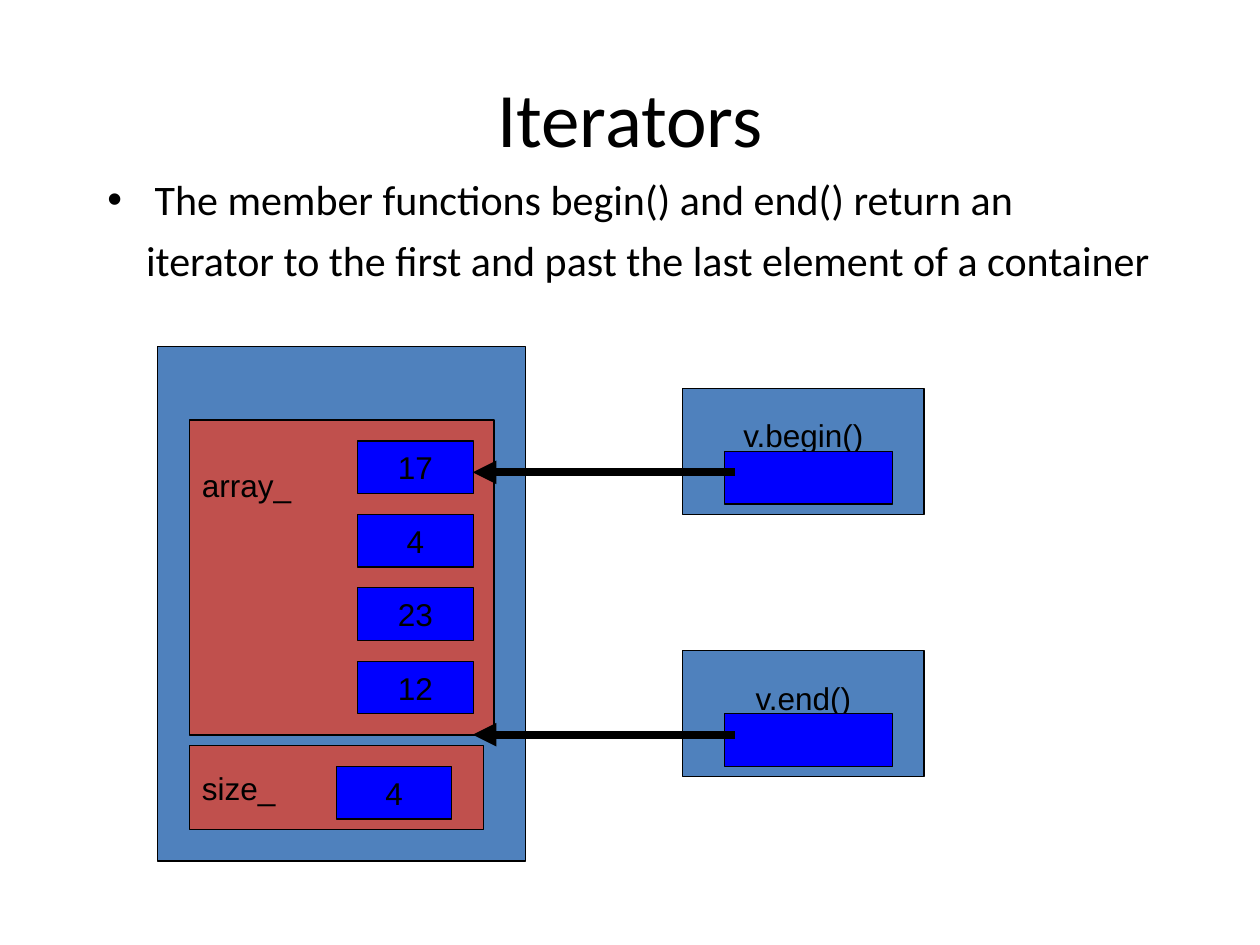
from lxml.etree import SubElement
from pptx import Presentation
from pptx.dml.color import RGBColor
from pptx.enum.shapes import MSO_CONNECTOR, MSO_SHAPE
from pptx.enum.text import MSO_ANCHOR, MSO_AUTO_SIZE, PP_ALIGN
from pptx.oxml.ns import qn
from pptx.util import Cm, Pt

COLORS = {
    "ink": "000000",
    "object": "4F81BD",
    "member": "C0504D",
    "value": "0000FF",
}
CELL_WIDTH, CELL_HEIGHT, CELL_PITCH = 2.33, 1.06, 1.48
ARROW_TIP = 9.53


def color(name):
    return RGBColor.from_string(COLORS[name])


def add_text(paragraph, text, font_name, size, alignment):
    paragraph.alignment = alignment
    run = paragraph.add_run()
    run.text = text
    run.font.name = font_name
    run.font.size = Pt(size)
    run.font.color.rgb = color("ink")


def place(shape, left, top, width, height):
    shape.left, shape.top = Cm(left), Cm(top)
    shape.width, shape.height = Cm(width), Cm(height)


def add_box(slide, left, top, width, height, fill, text="",
            alignment=PP_ALIGN.CENTER, text_top=None):
    """Add an outlined box; text is centred vertically unless text_top is given."""
    shape = slide.shapes.add_shape(
        MSO_SHAPE.RECTANGLE, Cm(left), Cm(top), Cm(width), Cm(height))
    shape.shadow.inherit = False
    shape.fill.solid()
    shape.fill.fore_color.rgb = color(fill)
    shape.line.color.rgb = color("ink")
    shape.line.width = Pt(0.75)
    if text:
        frame = shape.text_frame
        frame.word_wrap = True
        frame.vertical_anchor = MSO_ANCHOR.MIDDLE
        if text_top is not None:
            frame.vertical_anchor = MSO_ANCHOR.TOP
            frame.margin_top = Cm(text_top)
        add_text(frame.paragraphs[0], text, "Arial", 18, alignment)
    return shape


def add_arrow(slide, start, end, y):
    connector = slide.shapes.add_connector(
        MSO_CONNECTOR.STRAIGHT, Cm(start), Cm(y), Cm(end), Cm(y))
    connector.line.color.rgb = color("ink")
    connector.line.width = Pt(4.5)
    properties = connector._element.spPr
    SubElement(properties.find(qn("a:ln")), qn("a:tailEnd"), type="triangle")
    SubElement(properties, qn("a:effectLst"))


def fill_title(title, left, top, width, height):
    place(title, left, top, width, height)
    title.text_frame.vertical_anchor = MSO_ANCHOR.MIDDLE
    add_text(title.text_frame.paragraphs[0], "Iterators", "Calibri", 44, PP_ALIGN.CENTER)


def fill_body(body, left, top, width, height):
    place(body, left, top, width, height)
    frame = body.text_frame
    frame.auto_size = MSO_AUTO_SIZE.NONE
    first = frame.paragraphs[0]
    first.space_before = Pt(0)
    add_text(first, "The member functions begin() and end() return an",
             "Calibri", 24, PP_ALIGN.LEFT)
    second = frame.add_paragraph()
    second.space_before = Pt(6)
    properties = second._p.get_or_add_pPr()
    properties.set("marL", str(Cm(0.78)))
    properties.set("indent", "0")
    SubElement(properties, qn("a:buNone"))
    add_text(second, "iterator to the first and past the last element of a container",
             "Calibri", 24, PP_ALIGN.LEFT)


def add_vector(slide, left, top, width, height):
    """Draw the vector object with its array_ and size_ members."""
    add_box(slide, left, top, width, height, "object")
    member_left = left + 0.64

    array_top = top + 1.48
    add_box(slide, member_left, array_top, 6.14, 6.35, "member", "array_",
            PP_ALIGN.LEFT, text_top=0.93)
    for index, value in enumerate(["17", "4", "23", "12"]):
        add_box(slide, member_left + 3.39, array_top + 0.42 + index * CELL_PITCH,
                CELL_WIDTH, CELL_HEIGHT, "value", value)

    size_top = top + 8.04
    add_box(slide, member_left, size_top, 5.93, 1.69, "member", "size_", PP_ALIGN.LEFT)
    add_box(slide, member_left + 2.96, size_top + 0.42,
            CELL_WIDTH, CELL_HEIGHT, "value", "4")


def add_iterator(slide, left, top, width, height, label):
    """Draw an iterator box whose slot points back into the vector."""
    add_box(slide, left, top, width, height, "object", label, text_top=0.56)
    add_box(slide, left + 0.85, top + 1.27, 3.39, CELL_HEIGHT, "value")
    add_arrow(slide, left + 1.06, ARROW_TIP, top + 1.69)


def main():
    presentation = Presentation()
    presentation.slide_width, presentation.slide_height = Cm(25.4), Cm(19.05)
    slide = presentation.slides.add_slide(presentation.slide_layouts[1])
    fill_title(slide.shapes.title, 1.27, 0.76, 22.86, 3.18)
    fill_body(slide.placeholders[1], 1.91, 3.38, 21.59, 11.43)
    add_vector(slide, 3.18, 6.99, 7.41, 10.37)
    for label, top in [("v.end()", 13.12), ("v.begin()", 7.83)]:
        add_iterator(slide, 13.76, top, 4.87, 2.54, label)
    presentation.save("out.pptx")


if __name__ == "__main__":
    main()
